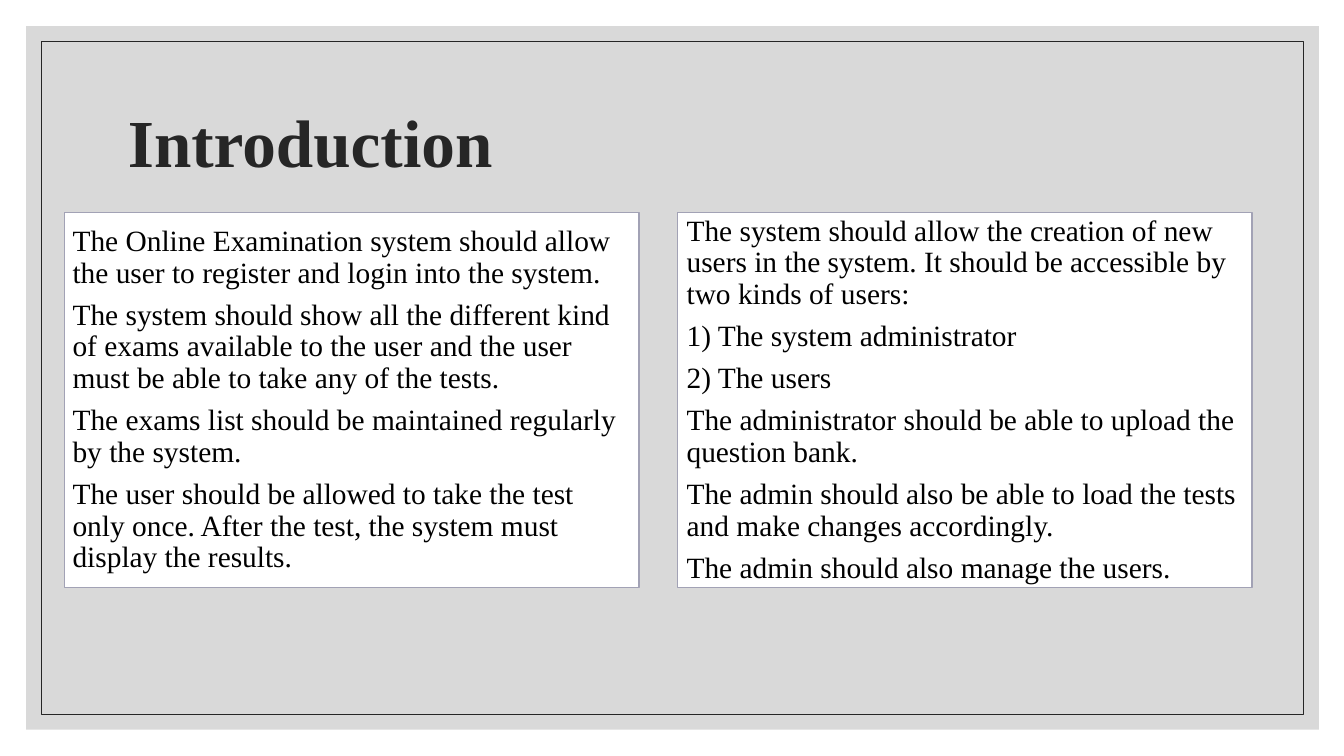
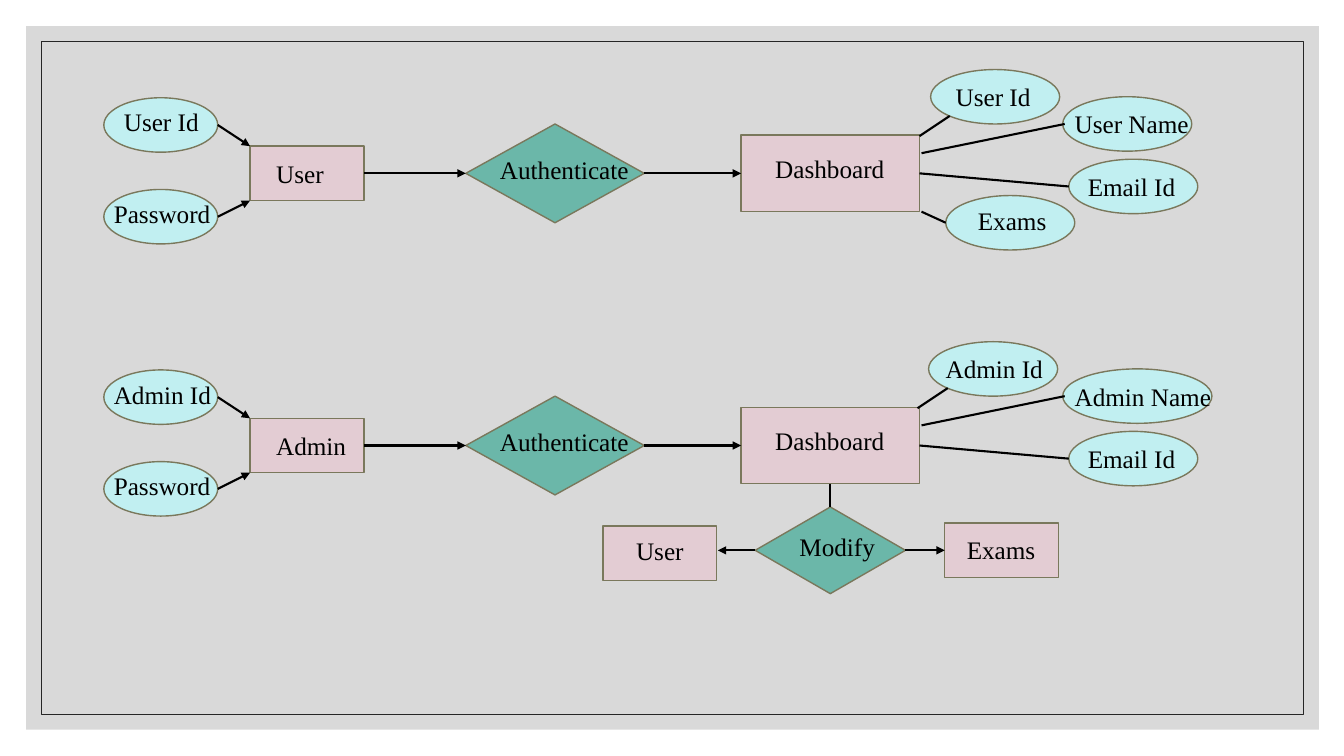
"""Build two slides on an online examination system: introduction and entity diagram."""
from dataclasses import dataclass

from lxml.etree import SubElement
from pptx import Presentation
from pptx.dml.color import RGBColor
from pptx.enum.shapes import MSO_CONNECTOR as CONN, MSO_SHAPE as SHAPE
from pptx.enum.text import MSO_ANCHOR as ANCHOR
from pptx.oxml.ns import qn
from pptx.util import Pt

PX = 9144


@dataclass(frozen=True)
class Theme:
    font: str = "Times New Roman"
    title: int = 48
    body: int = 21
    label: int = 18
    backdrop: str = "D9D9D9"
    dark: str = "262626"
    black: str = "000000"
    white: str = "FFFFFF"
    panel_edge: str = "A2A2B5"
    node_edge: str = "7A785C"
    entity: str = "E3CCD3"
    attribute: str = "C1EFF1"
    action: str = "6BB7A9"


T = Theme()


def box(s, kind, rect, fill=None, edge=None, weight=1):
    sp = s.shapes.add_shape(kind, *[v * PX for v in rect])
    sp.shadow.inherit = False
    for paint, color in ((sp.fill, fill), (sp.line.fill, edge)):
        if color:
            paint.solid()
            paint.fore_color.rgb = RGBColor.from_string(color)
        else:
            paint.background()
    if edge:
        sp.line.width = Pt(weight)
    return sp


def write(tf, text, size, color=T.black, bold=False, spacing=1.0, after=0):
    tf.word_wrap = True
    tf.text = text
    for p in tf.paragraphs:
        p.alignment = 1
        p.line_spacing = spacing
        p.space_after = Pt(after)
        for r in p.runs:
            r.font.name, r.font.size, r.font.bold = T.font, Pt(size), bold
            r.font.color.rgb = RGBColor.from_string(color)


prs = Presentation()
prs.slide_width, prs.slide_height = 1333 * PX, 750 * PX
blank = prs.slide_layouts[6]
for ph in list(blank.placeholders):
    ph.element.getparent().remove(ph.element)

s = prs.slides.add_slide(blank)
frame = [
    box(s, SHAPE.RECTANGLE, (26, 26, 1282, 698), fill=T.backdrop),
    box(s, SHAPE.RECTANGLE, (41, 41, 1252, 668), edge=T.dark, weight=0.5),
]
for sp in frame:
    blank.shapes.element.append(sp.element)

tb = s.shapes.add_textbox(117 * PX, 70 * PX, 1100 * PX, 150 * PX)
write(tb.text_frame, "Introduction", T.title, T.dark, bold=True, spacing=0.9)
tb.text_frame.vertical_anchor = ANCHOR.MIDDLE

panels = [
    (64, 8, [
        "The Online Examination system should allow the user to register and login into the system.",
        "The system should show all the different kind of exams available to the user and the user "
        "must be able to take any of the tests.",
        "The exams list should be maintained regularly by the system.",
        "The user should be allowed to take the test only once. After the test, the system must "
        "display the results.",
    ]),
    (672, 9, [
        "The system should allow the creation of new users in the system. It should be accessible "
        "by two kinds of users:",
        "1) The system administrator",
        "2) The users",
        "The administrator should be able to upload the question bank.",
        "The admin should also be able to load the tests and make changes accordingly.",
        "The admin should also manage the users.",
    ]),
]
for x, inset, lines in panels:
    sp = box(s, SHAPE.RECTANGLE, (x, 211, 570, 372), T.white, T.panel_edge)
    tf = sp.text_frame
    write(tf, "\n".join(lines), T.body, spacing=0.9, after=7.35)
    tf.vertical_anchor = ANCHOR.MIDDLE
    tf.margin_left = tf.margin_right = inset * PX
    tf.margin_top = tf.margin_bottom = 9 * PX

s = prs.slides.add_slide(blank)
styles = {
    "entity": (SHAPE.RECTANGLE, T.entity),
    "attribute": (SHAPE.OVAL, T.attribute),
    "action": (SHAPE.FLOWCHART_DECISION, T.action),
}
nodes, links, flows = [], [], []
rows = [("User", 0, 113, 923, 938, 128), ("Admin", 270, 103, 921, 928, 148)]
for role, dy, login_x, id_x, id_label_x, name_w in rows:
    nodes += [
        (role, "entity", (248, 145 + dy, 113, 54), role, (264, 152 + dy)),
        (role + " login", "attribute", (103, 97 + dy, 113, 54), role + " Id", (login_x, 101 + dy)),
        (role + " password", "attribute", (103, 188 + dy, 113, 54), "Password", (103, 192 + dy)),
        (role + " check", "action", (462, 123 + dy, 177, 98), "Authenticate", (486, 148 + dy)),
        (role + " dashboard", "entity", (735, 134 + dy, 177, 76), "Dashboard", (759, 147 + dy)),
        (role + " id", "attribute", (id_x, 69 + dy, 128, 54), role + " Id", (id_label_x, 76 + dy)),
        (role + " name", "attribute", (1054, 96 + dy, name_w, 54), role + " Name", (1056, 103 + dy)),
        (role + " email", "attribute", (1060, 158 + dy, 128, 54), "Email Id", (1069, 165 + dy)),
    ]
    links += [
        (216, 124 + dy, 248, 145 + dy, True),
        (216, 215 + dy, 248, 199 + dy, True),
        (id_x + 19, 115 + dy, id_x - 11, 135 + dy, False),
        (1056, 123 + dy, 914, 152 + dy, False),
        (1060, 185 + dy, 912, 172 + dy, False),
    ]
    flows += [
        (role, 3, role + " check", 1, True),
        (role + " check", 3, role + " dashboard", 1, True),
    ]
nodes += [
    ("taken exams", "attribute", (938, 194, 128, 54), "Exams", (960, 199)),
    ("modify", "action", (749, 503, 149, 86), "Modify", (783, 522)),
    ("edited user", "entity", (598, 522, 113, 54), "User", (621, 526)),
    ("edited exams", "entity", (937, 519, 113, 54), "Exams", (949, 525)),
]
links += [
    (938, 221, 914, 210, False),
    (749, 546, 712, 546, True),
    (898, 546, 937, 546, True),
]
flows.append(("Admin dashboard", 2, "modify", 0, False))

shapes = {}
for key, style, rect, text, (x, y) in nodes:
    kind, fill = styles[style]
    shapes[key] = box(s, kind, rect, fill, T.node_edge)
    tb = s.shapes.add_textbox(x * PX, y * PX, 178 * PX, 40 * PX)
    write(tb.text_frame, text, T.label)

lines = []
for x1, y1, x2, y2, arrow in links:
    cx = s.shapes.add_connector(CONN.STRAIGHT, x1 * PX, y1 * PX, x2 * PX, y2 * PX)
    lines.append((cx, arrow))
for start, start_site, end, end_site, arrow in flows:
    cx = s.shapes.add_connector(CONN.STRAIGHT, 0, 0, 0, 0)
    cx.begin_connect(shapes[start], start_site)
    cx.end_connect(shapes[end], end_site)
    lines.append((cx, arrow))
for cx, arrow in lines:
    cx.line.width = Pt(1.5)
    cx.line.color.rgb = RGBColor.from_string(T.black)
    if arrow:
        SubElement(cx.line._get_or_add_ln(), qn("a:tailEnd"), type="triangle")
    SubElement(cx.element.spPr, qn("a:effectLst"))

prs.save("out.pptx")
